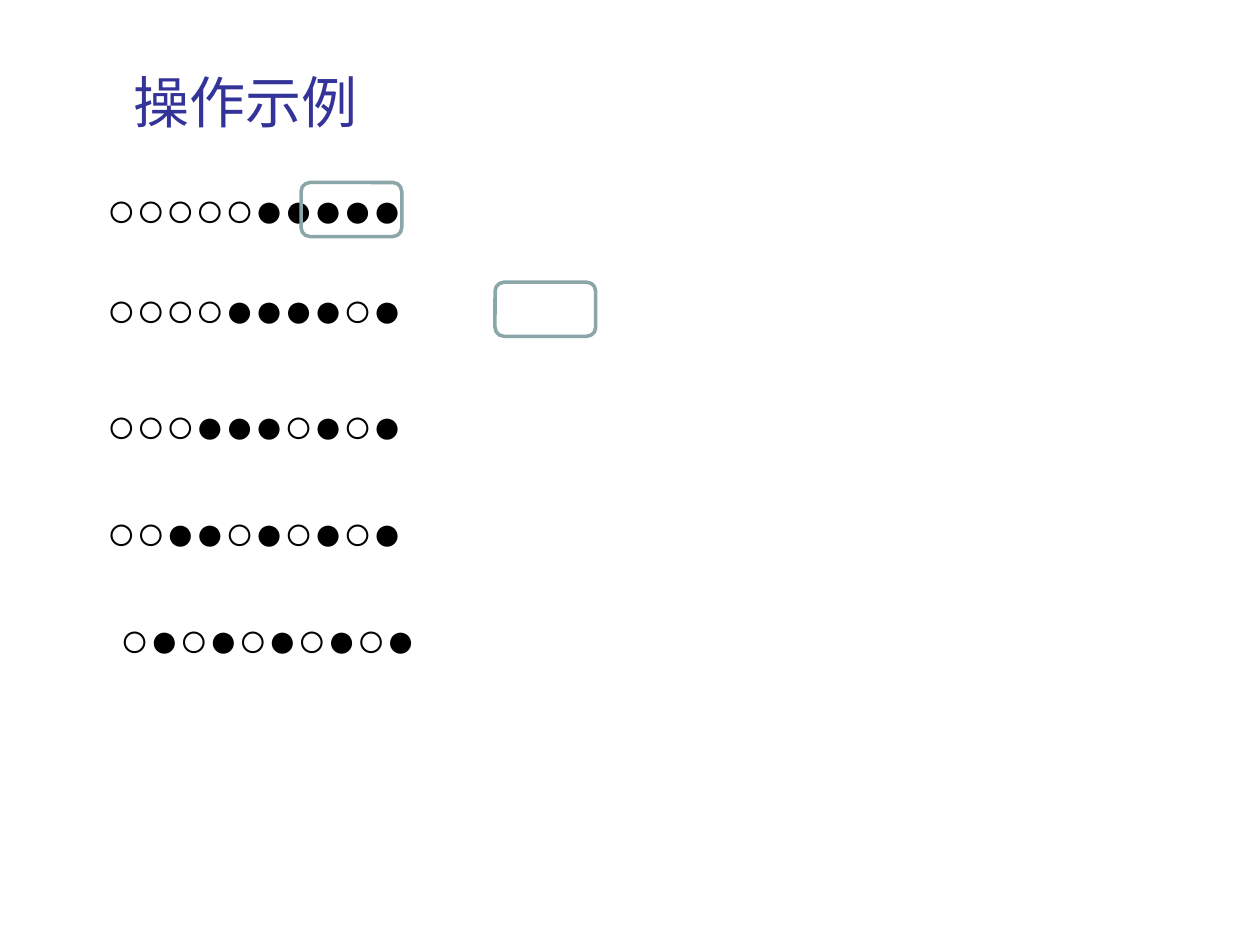
import pptx
import pptx.dml.color
import pptx.enum.shapes
import pptx.enum.text
import pptx.util

Cm = pptx.util.Cm
Pt = pptx.util.Pt


def color(hex_value):
    return pptx.dml.color.RGBColor.from_string(hex_value)


class SlideBuilder:
    TITLE = {"name": "Times New Roman", "size": Pt(32), "bold": False}
    BEADS = {"name": "Arial", "size": Pt(28), "bold": False}
    TITLE_COLOR = "333399"
    BEAD_COLOR = "000000"
    MARK_COLOR = "8AA6A8"

    def __init__(self, slide):
        self.slide = slide

    def fill_text(self, frame, text, formats, hex_value):
        frame.word_wrap = True
        paragraph = frame.paragraphs[0]
        paragraph.alignment = pptx.enum.text.PP_ALIGN.LEFT
        run = paragraph.add_run()
        run.text = text
        for attribute, value in formats.items():
            setattr(run.font, attribute, value)
        run.font.color.rgb = color(hex_value)

    def title(self, text, **place):
        heading = self.slide.shapes.title
        for side, length in place.items():
            setattr(heading, side, Cm(length))
        heading.text_frame.vertical_anchor = pptx.enum.text.MSO_ANCHOR.MIDDLE
        self.fill_text(heading.text_frame, text, self.TITLE, self.TITLE_COLOR)

    def beads(self, text, left, top, width=10.39, height=1.45):
        row = self.slide.shapes.add_textbox(Cm(left), Cm(top), Cm(width), Cm(height))
        self.fill_text(row.text_frame, text, self.BEADS, self.BEAD_COLOR)

    def mark(self, left, top, width=2.03, height=1.09):
        frame = self.slide.shapes.add_shape(
            pptx.enum.shapes.MSO_SHAPE.ROUNDED_RECTANGLE,
            Cm(left), Cm(top), Cm(width), Cm(height))
        frame.shadow.inherit = False
        frame.fill.background()
        frame.line.color.rgb = color(self.MARK_COLOR)
        frame.line.width = Pt(2)


def main():
    deck = pptx.Presentation()
    deck.slide_width, deck.slide_height = Cm(25.4), Cm(19.05)
    builder = SlideBuilder(deck.slides.add_slide(deck.slide_layouts[5]))

    # Heading
    builder.title("操作示例", left=2.44, top=0.76, width=21.87, height=2.57)

    # Successive states of the row; the final one sits slightly to the right
    states = [
        ("○○○○○●●●●●", 1.9, 3.48),
        ("○○○○●●●●○●", 1.9, 5.49),
        ("○○○●●●○●○●", 1.9, 7.82),
        ("○○●●○●○●○●", 1.9, 9.98),
        ("○●○●○●○●○●", 2.17, 12.14),
    ]
    for beads, left, top in states:
        builder.beads(beads, left, top)

    # Frames beside the first two states
    for left, (_, _, row_top) in zip((6.07, 9.98), states):
        builder.mark(left, row_top + 0.2)

    deck.save("out.pptx")


if __name__ == "__main__":
    main()
